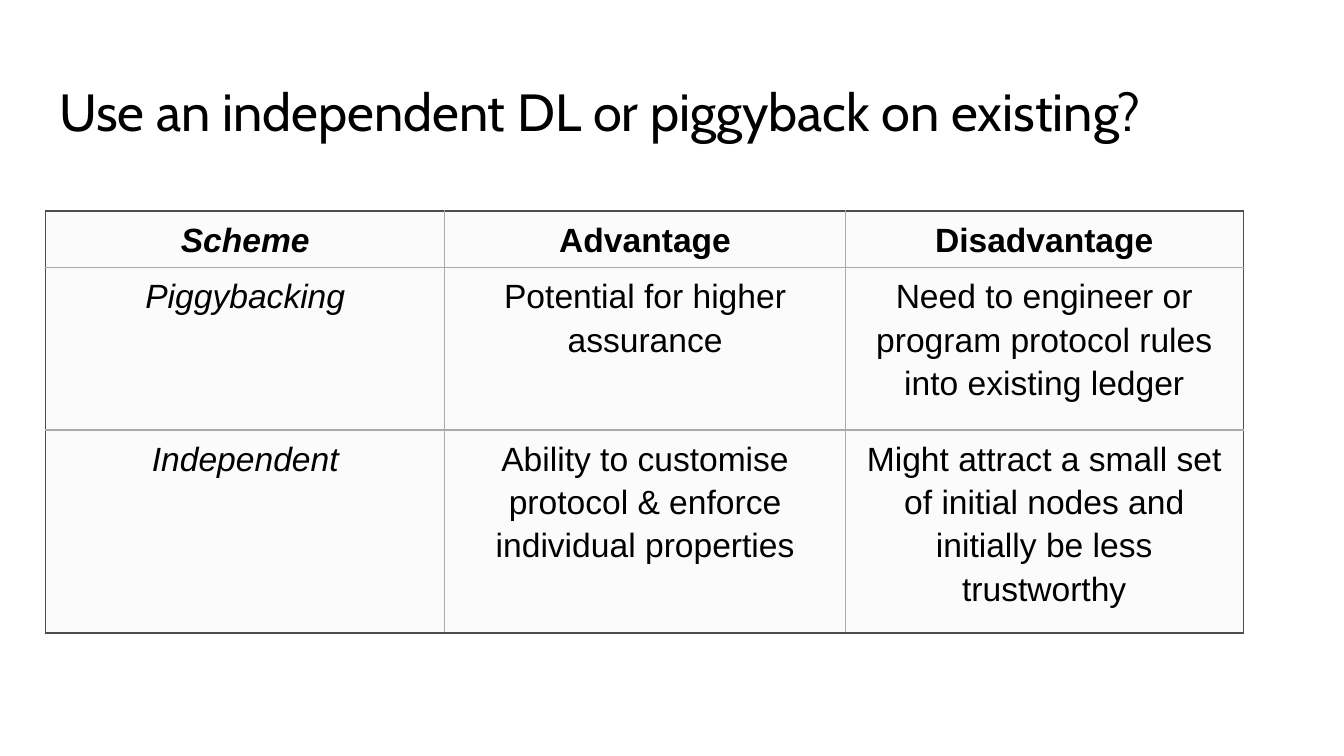
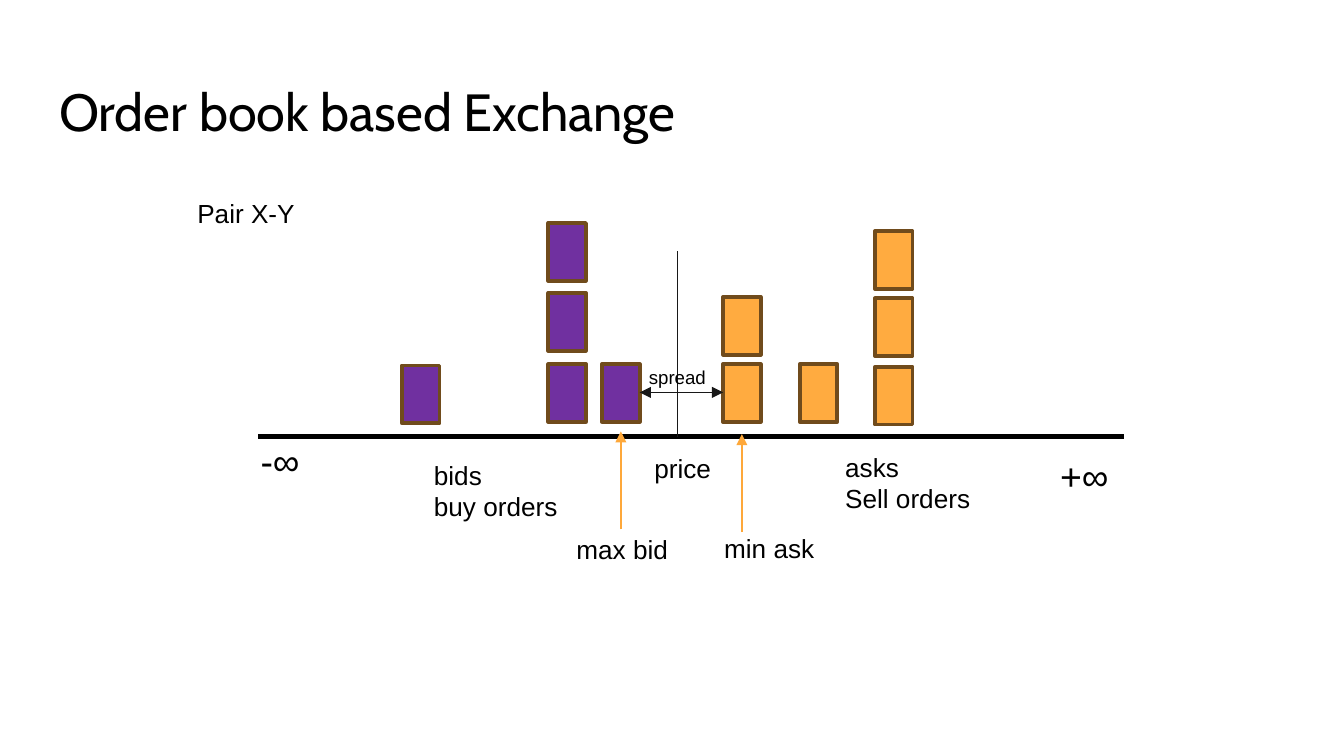
from lxml.etree import SubElement
from pptx import Presentation
from pptx.dml.color import RGBColor
from pptx.enum.shapes import MSO_CONNECTOR as Link, MSO_SHAPE as Shape
from pptx.enum.text import MSO_ANCHOR as Anchor, MSO_AUTO_SIZE as Fit, PP_ALIGN as Align
from pptx.oxml import parse_xml
from pptx.oxml.ns import nsdecls, qn
from pptx.util import Emu, Pt

BLACK = RGBColor(0x00, 0x00, 0x00)
INK = RGBColor(0x18, 0x18, 0x18)
EDGE = RGBColor(0x4D, 0x4D, 0x4D)
GRID = RGBColor(0xAA, 0xAA, 0xAA)
CELL = RGBColor(0xFB, 0xFB, 0xFB)
BID = RGBColor(0x70, 0x30, 0xA0)
ASK = RGBColor(0xFF, 0xAB, 0x40)
RIM = RGBColor(0x70, 0x4B, 0x1C)
ARROW = RGBColor(0xFE, 0xA8, 0x3A)

# 100 px to the inch, slides 16 to 9
PX = 9144
WIDE = 1000 * PX
HIGH = WIDE * 9 // 16
TITLE = (34, 49, 932, 63)

SCHEMES = [
    ["Scheme", "Advantage", "Disadvantage"],
    ["Piggybacking", "Potential for higher assurance",
     "Need to engineer or program protocol rules into existing ledger"],
    ["Independent", "Ability to customise protocol & enforce individual properties",
     "Might attract a small set of initial nodes and initially be less trustworthy"],
]
TABLE_AT = (34, 157)
COLS = [297, 298, 296]
ROWS = [42, 121, 151]

# colour, left edge, tops of the orders at that price
ORDER = (28, 43)
STACKS = [
    (ASK, 538, [271, 221]),
    (ASK, 595, [271]),
    (ASK, 651, [273, 222, 172]),
    (BID, 448, [271]),
    (BID, 408, [271, 218, 166]),
    (BID, 299, [272]),
]

# start, end, colour, width in points, arrowheads
LINES = [
    ((192, 325), (836, 325), BLACK, 2.75, []),
    ((504, 187), (504, 325), INK, 0.75, []),
    ((538, 292), (476, 292), INK, 0.75, ["headEnd", "tailEnd"]),
    ((462, 394), (462, 321), ARROW, 0.75, ["tailEnd"]),
    ((552, 396), (552, 323), ARROW, 0.75, ["tailEnd"]),
]

# text, box, size in points, wrap
LABELS = [
    ("price", (477, 332, 63, 34), 14, False),
    ("bids\nbuy orders", (313, 337, 115, 57), 14, False),
    ("max bid", (419, 392, 117, 34), 14, True),
    ("spread", (473, 267, 63, 27), 10, False),
    ("+∞", (779, 332, 56, 44), 20, False),
    ("-∞", (184, 321, 49, 44), 20, False),
    ("Pair X-Y", (137, 142, 93, 34), 14, False),
    ("asks\nSell orders", (619, 331, 114, 57), 14, False),
    ("min ask", (529, 391, 117, 34), 14, True),
]


def px(*nums):
    return [Emu(n * PX) for n in nums]


def write(frame, text, size=14, font="Arial", color=BLACK, bold=False,
          italic=False, align=Align.LEFT, gap=None):
    frame.text = text
    for para in frame.paragraphs:
        para.alignment = align
        para.line_spacing = gap
        for run in para.runs:
            face = run.font
            face.size, face.name = Pt(size), font
            face.bold, face.italic = bold, italic
            face.color.rgb = color


def add_slide(deck, text):
    slide = deck.slides.add_slide(deck.slide_layouts[5])
    title = slide.shapes.title
    title.left, title.top, title.width, title.height = px(*TITLE)
    frame = title.text_frame
    frame.margin_left = frame.margin_right = Emu(10 * PX)
    frame.margin_top = frame.margin_bottom = Emu(10 * PX)
    frame.auto_size, frame.vertical_anchor = Fit.NONE, Anchor.TOP
    write(frame, text, size=28, font="Cabin")
    return slide


def set_edges(cell, colors):
    """Draw the left, right, top and bottom borders of a cell."""
    props = cell._tc.get_or_add_tcPr()
    for i, (side, color) in enumerate(zip("LRTB", colors)):
        props.insert(i, parse_xml(
            f'<a:ln{side} {nsdecls("a")} w="{Pt(0.75)}"><a:solidFill>'
            f'<a:srgbClr val="{color}"/></a:solidFill></a:ln{side}>'))


def add_schemes(slide):
    box = px(*TABLE_AT, sum(COLS), sum(ROWS))
    table = slide.shapes.add_table(len(ROWS), len(COLS), *box).table
    table.first_row = table.horz_banding = False
    for col, wide in zip(table.columns, COLS):
        col.width = Emu(wide * PX)
    for r, (row, high) in enumerate(zip(table.rows, ROWS)):
        row.height = Emu(high * PX)
        for c, cell in enumerate(row.cells):
            cell.margin_left = cell.margin_right = Emu(4 * PX)
            cell.margin_top = cell.margin_bottom = Emu(4 * PX)
            cell.fill.solid()
            cell.fill.fore_color.rgb = CELL
            outer = (c == 0, c == len(COLS) - 1, r == 0, r == len(ROWS) - 1)
            set_edges(cell, [EDGE if out else GRID for out in outer])
            write(cell.text_frame, SCHEMES[r][c], size=18, bold=r == 0,
                  italic=c == 0, align=Align.CENTER, gap=1.15)


def add_line(slide, start, end, color, width, heads):
    line = slide.shapes.add_connector(Link.STRAIGHT, *px(*start, *end))
    line.line.color.rgb = color
    line.line.width = Pt(width)
    props = line._element.spPr
    for head in heads:
        SubElement(props.find(qn("a:ln")), qn(f"a:{head}"), type="triangle")
    SubElement(props, qn("a:effectLst"))


def add_order(slide, color, left, top):
    order = slide.shapes.add_shape(Shape.RECTANGLE, *px(left, top, *ORDER))
    order.shadow.inherit = False
    order.fill.solid()
    order.fill.fore_color.rgb = color
    order.line.color.rgb = RIM
    order.line.width = Pt(2)


def add_label(slide, text, box, size, wrap):
    frame = slide.shapes.add_textbox(*px(*box)).text_frame
    frame.word_wrap = wrap
    frame.auto_size = Fit.SHAPE_TO_FIT_TEXT
    write(frame, text, size=size)


def main():
    deck = Presentation()
    deck.slide_width, deck.slide_height = Emu(WIDE), Emu(HIGH)

    add_schemes(add_slide(deck, "Use an independent DL or piggyback on existing?"))

    book = add_slide(deck, "Order book based Exchange")
    for color, left, tops in STACKS:
        for top in tops:
            add_order(book, color, left, top)
    for line in LINES:
        add_line(book, *line)
    for label in LABELS:
        add_label(book, *label)

    deck.save("out.pptx")


if __name__ == "__main__":
    main()
